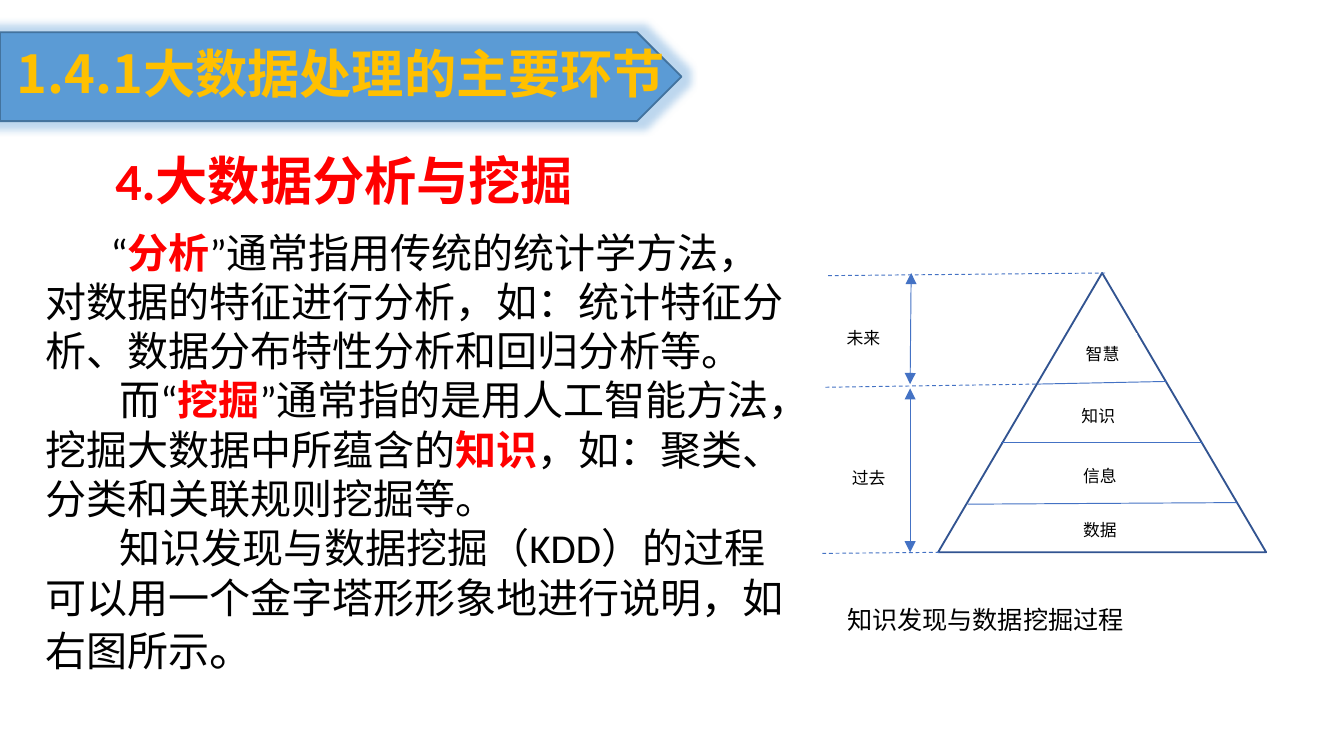
from lxml.etree import SubElement
from pptx import Presentation
from pptx.dml.color import RGBColor
from pptx.enum.dml import MSO_LINE
from pptx.enum.shapes import MSO_CONNECTOR, MSO_SHAPE
from pptx.enum.text import MSO_ANCHOR, MSO_AUTO_SIZE, PP_ALIGN
from pptx.oxml.ns import qn
from pptx.util import Cm, Pt

COLORS = {
    "banner": "5B9BD5", "banner_edge": "43739E", "gold": "FFC000",
    "red": "FF0000", "black": "000000", "white": "FFFFFF",
    "line": "4472C4", "pyramid": "325491",
}
LATIN, CJK = "Calibri", "Noto Sans CJK SC"


def rgb(name):
    return RGBColor.from_string(COLORS[name])


class Deck:
    def __init__(self, prs):
        self.s = prs.slides.add_slide(prs.slide_layouts[5])
        self.parent = self.s.shapes

    def open_group(self):
        self.parent = self.s.shapes.add_group_shape().shapes

    def close_group(self):
        self.parent = self.s.shapes

    def run(self, p, text, size, color="black", bold=False, font=LATIN):
        r = p.add_run()
        r.text = text
        r.font.size, r.font.bold, r.font.name = Pt(size), bold, font
        r.font.color.rgb = rgb(color)
        rPr = r.font._element
        rPr.set("lang", "zh-CN")
        ea = SubElement(rPr, qn("a:ea"))
        ea.set("typeface", font)

    def title(self, text, x, y, w, h):
        sp = self.s.shapes.title
        sp.left, sp.top, sp.width, sp.height = Cm(x), Cm(y), Cm(w), Cm(h)
        tf = sp.text_frame
        tf.auto_size, tf.word_wrap = MSO_AUTO_SIZE.NONE, True
        tf.vertical_anchor = MSO_ANCHOR.TOP
        tf.margin_left = Cm(0.5)
        p = tf.paragraphs[0]
        p.alignment = PP_ALIGN.LEFT
        self.run(p, text, 28, "gold", True, CJK)

    def shape(self, kind, x, y, w, h, fill=None, edge=None):
        sp = self.parent.add_shape(kind, Cm(x), Cm(y), Cm(w), Cm(h))
        sp.shadow.inherit = False
        if fill:
            sp.fill.solid()
            sp.fill.fore_color.rgb = rgb(fill)
        else:
            sp.fill.background()
        if edge:
            sp.line.color.rgb = rgb(edge)
            sp.line.width = Pt(1)
        else:
            sp.line.fill.background()
        return sp

    def banner(self, x, y, w, h):
        sp = self.shape(MSO_SHAPE.PENTAGON, x, y, w, h, "banner", "banner_edge")
        effects = sp._element.spPr.find(qn("a:effectLst"))
        glow = SubElement(effects, qn("a:glow"), rad=str(Cm(0.28)))
        color = SubElement(glow, qn("a:srgbClr"), val=COLORS["banner"])
        SubElement(color, qn("a:alpha"), val="40000")
        self.s.shapes.title._element.addprevious(sp._element)

    def label(self, text, x, y, w):
        sp = self.shape(MSO_SHAPE.RECTANGLE, x, y, w, 0.74, "white")
        tf = sp.text_frame
        tf.word_wrap, tf.vertical_anchor = True, MSO_ANCHOR.TOP
        p = tf.paragraphs[0]
        p.alignment, p.line_spacing = PP_ALIGN.JUSTIFY, 1.2
        self.run(p, text, 9, font=CJK)

    def line(self, x1, y1, x2, y2, dashed=False, arrows=False):
        cx = self.parent.add_connector(
            MSO_CONNECTOR.STRAIGHT, Cm(x1), Cm(y1), Cm(x2), Cm(y2))
        cx.line.color.rgb = rgb("line")
        cx.line.width = Pt(0.5)
        if dashed:
            cx.line.dash_style = MSO_LINE.DASH
        if arrows:
            ln = cx.line._get_or_add_ln()
            for end in ("a:headEnd", "a:tailEnd"):
                SubElement(ln, qn(end), type="triangle")
        SubElement(cx._element.spPr, qn("a:effectLst"))

    def text(self, paragraphs, x, y, w, h):
        sp = self.parent.add_textbox(Cm(x), Cm(y), Cm(w), Cm(h))
        tf = sp.text_frame
        tf.word_wrap = True
        for i, (indent, runs) in enumerate(paragraphs):
            p = tf.add_paragraph() if i else tf.paragraphs[0]
            if indent:
                p._p.get_or_add_pPr().set("indent", str(Cm(indent)))
            for r in runs:
                self.run(p, *r)


def key(text):
    return text, 22, "red", True


BODY = [
    (1.23, [("“", 22), key("分析"),
            ("”通常指用传统的统计学方法，对数据的特征进行分析，如：统计特征分析、"
             "数据分布特性分析和回归分析等。", 22)]),
    (1.4, [("而“", 22), key("挖掘"),
           ("”通常指的是用人工智能方法，挖掘大数据中所蕴含的", 22), key("知识"),
           ("，如：聚类、分类和关联规则挖掘等。", 22)]),
    (1.4, [("知识发现与数据挖掘（KDD）的过程可以用一个金字塔形形象地进行说明，"
            "如右图所示", 22), ("。", 24)]),
]
LEVEL_LINES = [(19.61, 7.26, 22.05, 7.21), (18.92, 8.36, 22.73, 8.36),
               (18.29, 9.53, 23.37, 9.5)]
GUIDES = [(15.6, 7.32, 19.58, 7.26), (15.54, 10.46, 17.78, 10.44),
          (15.65, 5.21, 20.9, 5.16)]
SPANS = [(17.2, 10.44, 17.2, 7.34), (17.2, 7.26, 17.22, 5.16)]
LABELS = [("数据", 20.22, 9.63, 1.37), ("信息", 20.22, 8.61, 1.37),
          ("知识", 20.19, 7.47, 1.37), ("智慧", 20.27, 6.3, 1.22),
          ("过去", 15.85, 8.64, 1.3), ("未来", 15.75, 5.99, 1.32)]


def main():
    prs = Presentation()
    prs.slide_width, prs.slide_height = Cm(25.4), Cm(14.29)
    deck = Deck(prs)
    deck.banner(0, 0.61, 12.88, 1.68)
    deck.title("1.4.1大数据处理的主要环节", -0.18, 0.66, 13.92, 1.45)
    deck.text([(0, [("4.大数据分析与挖掘", 28, "red", True)])],
              1.93, 2.67, 12.78, 1.45)

    deck.open_group()
    deck.shape(MSO_SHAPE.ISOSCELES_TRIANGLE, 17.73, 5.16, 6.2, 5.28,
               edge="pyramid")
    for ends in LEVEL_LINES:
        deck.line(*ends)
    for label in LABELS:
        deck.label(*label)
    for ends in GUIDES:
        deck.line(*ends, dashed=True)
    for ends in SPANS:
        deck.line(*ends, arrows=True)
    deck.close_group()

    deck.text(BODY, 0.61, 4.17, 14.76, 8.81)
    deck.text([(0, [("知识发现与数据挖掘过程", 13.5)])], 15.77, 11.3, 7.82, 1.02)
    prs.save("out.pptx")


if __name__ == "__main__":
    main()
